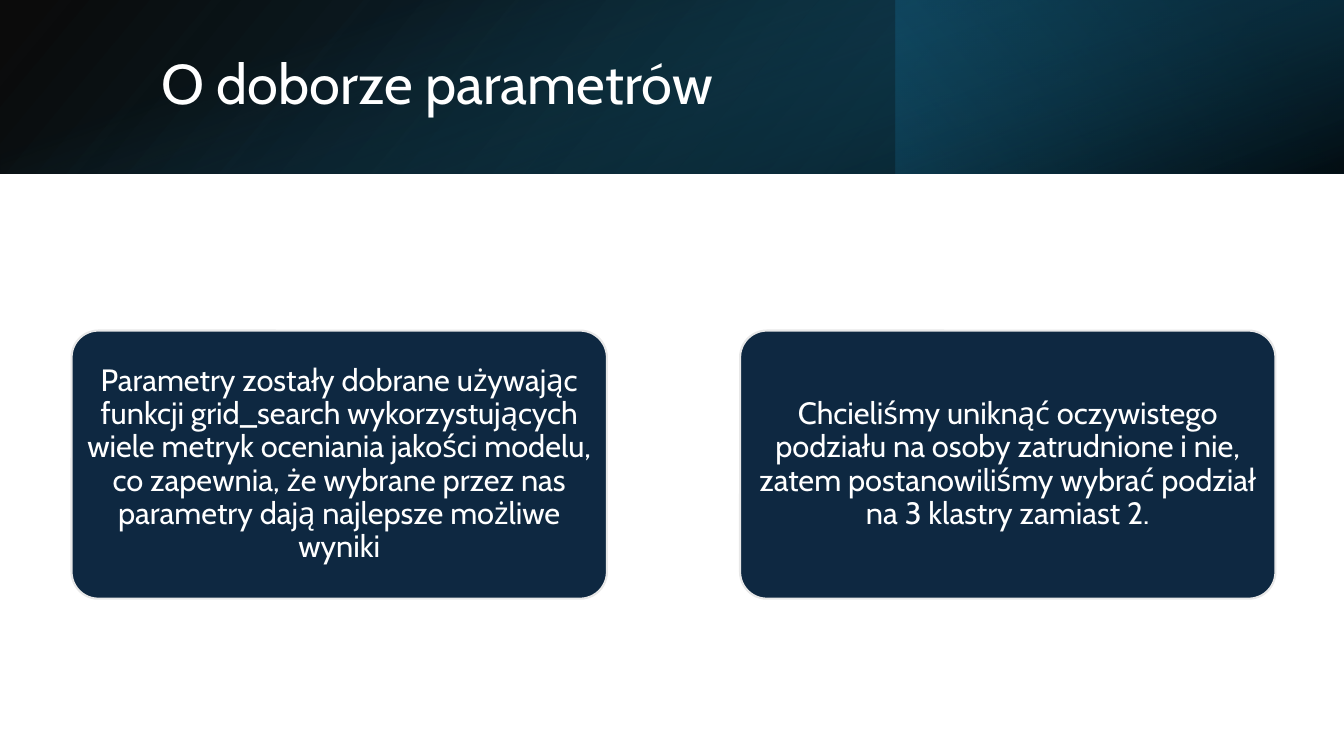
import pptx
import pptx.util
import pptx.dml.color
import pptx.enum.shapes
import pptx.enum.text
import pptx.oxml.ns
from lxml import etree

Inches = pptx.util.Inches
Pt = pptx.util.Pt
RGBColor = pptx.dml.color.RGBColor
Kind = pptx.enum.shapes.MSO_SHAPE
Align = pptx.enum.text.PP_ALIGN
Anchor = pptx.enum.text.MSO_ANCHOR
qn = pptx.oxml.ns.qn

BLACK = RGBColor(0x00, 0x00, 0x00)
WHITE = RGBColor(0xFF, 0xFF, 0xFF)
NAVY = RGBColor(0x0E, 0x28, 0x41)
TEAL = RGBColor(0x15, 0x60, 0x82)
BLUE = RGBColor(0x10, 0x48, 0x62)
DEEP = RGBColor(0x0B, 0x30, 0x41)
EDGE = RGBColor(0xE8, 0xE8, 0xE8)

WIDE, HIGH, BAND = 13.33, 7.5, 1.72

CARDS = [
    "Parametry zostały dobrane używając funkcji grid_search wykorzystujących "
    "wiele metryk oceniania jakości modelu, co zapewnia, że wybrane przez nas "
    "parametry dają najlepsze możliwe wyniki",
    "Chcieliśmy uniknąć oczywistego podziału na osoby zatrudnione i nie, zatem "
    "postanowiliśmy wybrać podział na 3 klastry zamiast 2.",
]


class Page:
    font = "Cabin"

    def __init__(self, deck):
        self.slide = deck.slides.add_slide(deck.slide_layouts[6])

    def shape(self, kind, box):
        shape = self.slide.shapes.add_shape(kind, *map(Inches, box))
        shape.shadow.inherit = False
        return shape

    def label(self, frame, text, size, align):
        frame.word_wrap = True
        frame.vertical_anchor = Anchor.MIDDLE
        para = frame.paragraphs[0]
        para.text = text
        para.alignment = align
        para.line_spacing = 0.9
        para.font.name = self.font
        para.font.size = Pt(size)
        para.font.color.rgb = WHITE

    def shade(self, box, stops, angle, turn=0, flip=False):
        shape = self.shape(Kind.RECTANGLE, box)
        shape.rotation = turn
        shape.line.fill.background()
        shape.fill.gradient()
        shape.fill.gradient_angle = 360 - angle
        for stop, (place, color, _) in zip(shape.fill.gradient_stops, stops):
            stop.position = place / 100
            stop.color.rgb = color
        props = shape._element.spPr
        for node, (_, _, alpha) in zip(props.iter(qn("a:srgbClr")), stops):
            etree.SubElement(node, qn("a:alpha"), val=str(alpha * 1000))
        if flip:
            props.find(qn("a:xfrm")).set("flipH", "1")

    def title(self, box, text):
        area = self.slide.shapes.add_textbox(*map(Inches, box))
        self.label(area.text_frame, text, 40, Align.LEFT)

    def card(self, box, text):
        shape = self.shape(Kind.ROUNDED_RECTANGLE, box)
        shape.adjustments[0] = 0.1
        shape.fill.solid()
        shape.fill.fore_color.rgb = NAVY
        shape.line.color.rgb = EDGE
        shape.line.width = Pt(1.5)
        frame = shape.text_frame
        frame.margin_left = frame.margin_right = Inches(0.05)
        frame.margin_top = frame.margin_bottom = Inches(0.03)
        self.label(frame, text, 22, Align.CENTER)


def main():
    deck = pptx.Presentation()
    deck.slide_width = Inches(WIDE)
    deck.slide_height = Inches(HIGH)
    page = Page(deck)
    page.shade((0, 0, WIDE, BAND), [(0, BLACK, 96), (100, BLUE, 100)], 140, flip=True)
    page.shade((WIDE * 2 / 3, 0, WIDE / 3, BAND),
               [(19, DEEP, 68), (100, TEAL, 79)], 320, turn=180)
    shift = (WIDE - BAND) / 2
    page.shade((shift, -shift, BAND, WIDE),
               [(23, TEAL, 0), (99, BLACK, 74)], 340, turn=90)
    page.title((1.5, 0.38, 10.98, 0.96), "O doborze parametrów")
    for i, text in enumerate(CARDS):
        page.card((0.71 + i * 6.63, 3.28, 5.31, 2.66), text)
    deck.save("out.pptx")


if __name__ == "__main__":
    main()
